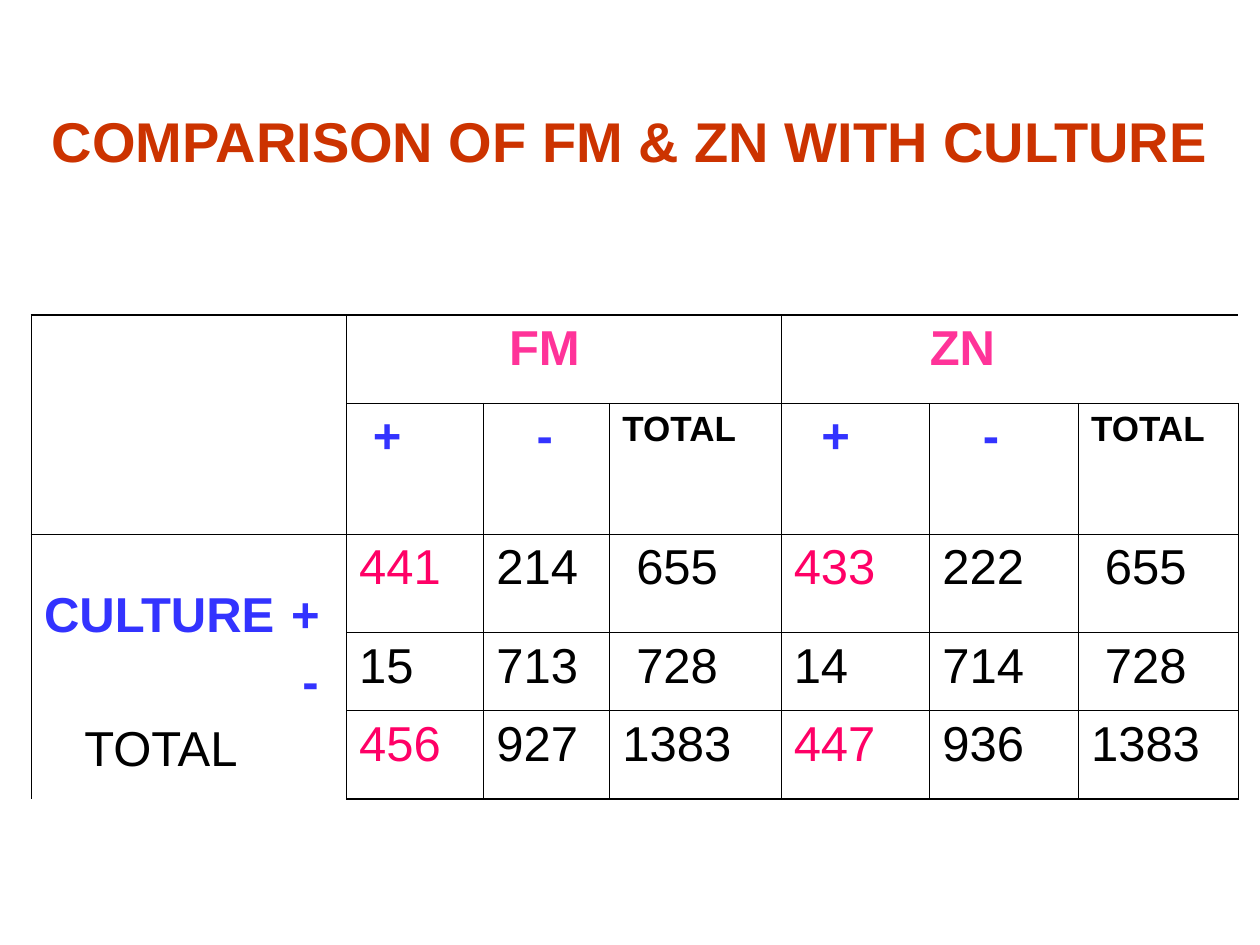
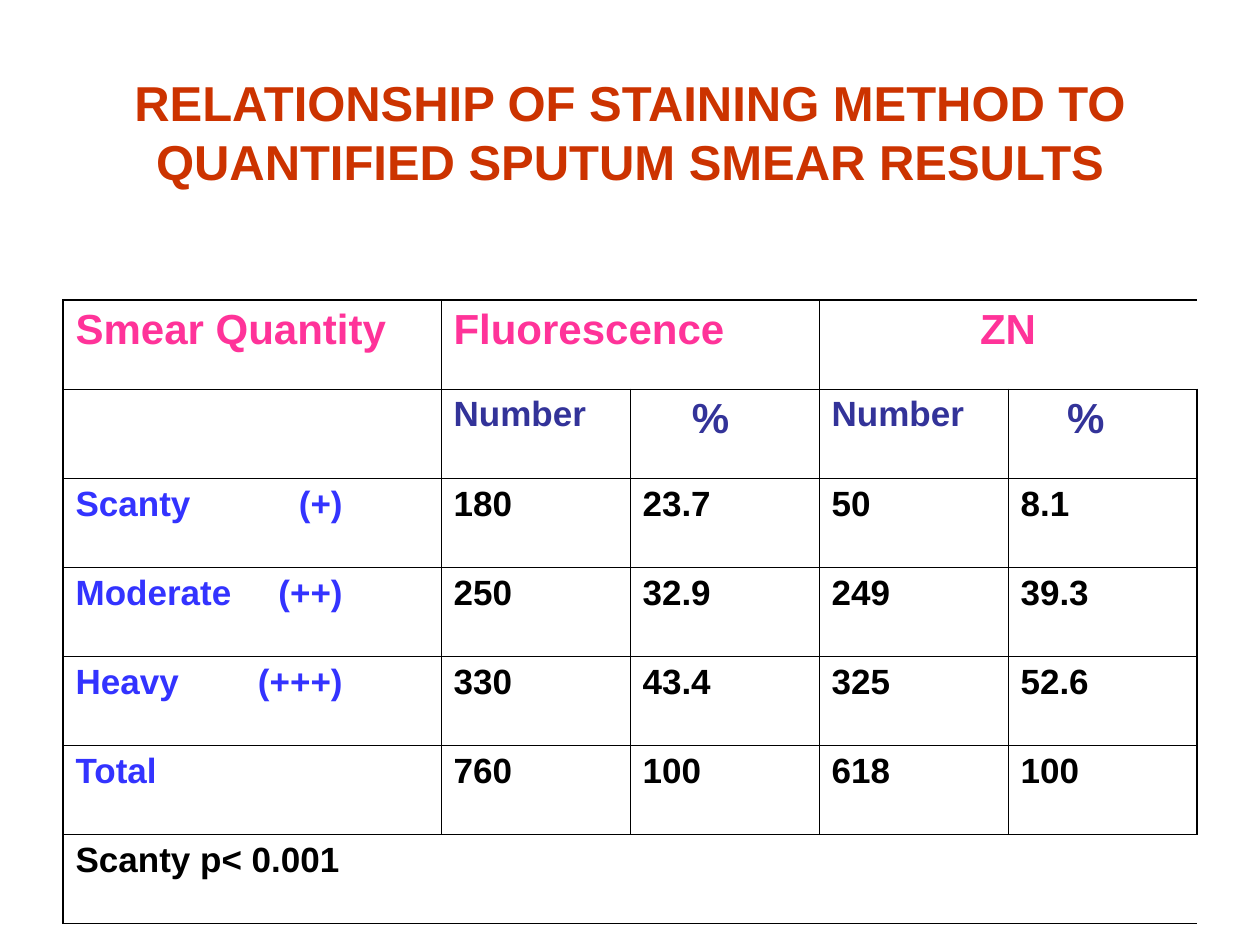
from pptx import Presentation
from pptx.dml.color import RGBColor
from pptx.enum import text
from pptx.oxml.xmlchemy import OxmlElement
from pptx.util import Inches, Pt

FONT, TITLE_COLOR, LINE_COLOR = "Arial", "CC3300", "000000"
OUTER, INNER = 1.08, 0.45  # border widths in points
LINE_GAP = 7  # points between the lines of one cell

# Text styles: size, colour, bold
STYLES = {
    "method": (28, "FF3399", True),
    "sign": (28, "3333FF", True),
    "total": (20, "000000", True),
    "count": (28, "000000", False),
    "key": (28, "FF0066", False),
    "head": (24, "FF3399", True),
    "number": (20, "333399", True),
    "percent": (24, "333399", True),
    "grade": (20, "3333FF", True),
    "value": (20, "000000", True),
}


# A cell is a list of lines; a line is (text, style, indent in inches)
def cell(words, style, indent=0.0):
    return [(words, style, indent)]


def result_row(*numbers, key):
    """FM and ZN counts; the first count of each method may be highlighted."""
    return [cell(n, "key" if key and i % 3 == 0 else "count",
                 0.11 if len(n) == 3 and i % 3 == 2 else 0)
            for i, n in enumerate(numbers)]


def grade_row(label, *values):
    return [cell(label, "grade")] + [cell(v, "value") for v in values]


CULTURE_LABELS = [("CULTURE\t+", "sign", 0), ("-", "sign", 2.05),
                  ("TOTAL", "count", 0.32)]

SLIDES = [
    dict(
        title="COMPARISON OF FM & ZN WITH CULTURE",
        title_box=(0, 0.3, 10, 1.62), title_size=32,
        at=(0.25, 2.5),
        cols=[2.5, 1.09, 1, 1.36, 1.18, 1.18, 1.27],
        rows=[0.7, 1.04, 0.78, 0.62, 0.7],
        merges=[(0, 0, 2, 1), (0, 1, 1, 3), (0, 4, 1, 3), (2, 0, 3, 1)],
        tab=(1.96, "l"),
        tops={(2, 0): 0.43},
        cells=[
            [[], cell("FM", "method", 1.19), [], [], cell("ZN", "method", 1.08), [], []],
            [[], cell("+", "sign", 0.11), cell("-", "sign", 0.32), cell("TOTAL", "total"),
             cell("+", "sign", 0.22), cell("-", "sign", 0.32), cell("TOTAL", "total")],
            [CULTURE_LABELS] + result_row("441", "214", "655", "433", "222", "655", key=True),
            [[]] + result_row("15", "713", "728", "14", "714", "728", key=False),
            [[]] + result_row("456", "927", "1383", "447", "936", "1383", key=True),
        ],
    ),
    dict(
        title="RELATIONSHIP OF STAINING METHOD TO QUANTIFIED SPUTUM SMEAR RESULTS",
        title_box=(0, 0, 10, 2.08), title_size=28,
        at=(0.5, 2.38),
        cols=[3] + [1.5] * 4,
        rows=[4.95 / 7] * 7,
        merges=[(0, 1, 1, 2), (0, 3, 1, 2), (6, 0, 1, 5)],
        tab=(2.12, "r"),
        centred={(0, 3)},
        cells=[
            [cell("Smear Quantity", "head"), cell("Fluorescence", "head"), [],
             cell("ZN", "head"), []],
            [[], cell("Number", "number"), cell("%", "percent", 0.39),
             cell("Number", "number"), cell("%", "percent", 0.37)],
            grade_row("Scanty\t(+)", "180", "23.7", "50", "8.1"),
            grade_row("Moderate\t(++)", "250", "32.9", "249", "39.3"),
            grade_row("Heavy\t(+++)", "330", "43.4", "325", "52.6"),
            grade_row("Total", "760", "100", "618", "100"),
            [cell("Scanty p< 0.001", "value"), [], [], [], []],
        ],
    ),
]


def rgb(color):
    return RGBColor.from_string(color)


def add_run(p, words, size, color, bold):
    r = p.add_run()
    r.text = words
    r.font.name, r.font.size, r.font.bold = FONT, Pt(size), bold
    r.font.color.rgb = rgb(color)


def child(parent, tag, **attrs):
    el = OxmlElement(tag)
    for name, value in attrs.items():
        el.set(name, str(value))
    parent.append(el)
    return el


def add_title(s, spec):
    sp = s.shapes.title
    sp.left, sp.top, sp.width, sp.height = map(Inches, spec["title_box"])
    tf = sp.text_frame
    tf.auto_size = text.MSO_AUTO_SIZE.NONE
    tf.word_wrap = True
    tf.vertical_anchor = text.MSO_ANCHOR.MIDDLE
    p = tf.paragraphs[0]
    p.alignment = text.PP_ALIGN.CENTER
    add_run(p, spec["title"], spec["title_size"], TITLE_COLOR, True)


def write_cell(tc, lines, tab):
    tf = tc.text_frame
    for i, (words, style, indent) in enumerate(lines):
        p = tf.add_paragraph() if i else tf.paragraphs[0]
        p.space_before = Pt(LINE_GAP if i else 0)
        pPr = p._p.get_or_add_pPr()
        pPr.set("marL", str(Inches(indent)))
        if "\t" in words:
            pos, align = tab
            child(child(pPr, "a:tabLst"), "a:tab", pos=Inches(pos), algn=align)
        add_run(p, words, *STYLES[style])


def draw_borders(tbl, n_rows, n_cols):
    """Heavy outer frame, thin inner lines, none inside merged areas."""
    for row in range(n_rows):
        for col in range(n_cols):
            origin = tbl.cell(row, col)
            if origin.is_spanned:
                continue
            bottom = row + origin.span_height if origin.is_merge_origin else row + 1
            right = col + origin.span_width if origin.is_merge_origin else col + 1
            for i in range(row, bottom):
                for j in range(col, right):
                    tc = tbl.cell(i, j)
                    tcPr = tc._tc.get_or_add_tcPr()
                    edges = [("a:lnL", j == col, j == 0),
                             ("a:lnR", j + 1 == right, j + 1 == n_cols),
                             ("a:lnT", i == row, i == 0),
                             ("a:lnB", i + 1 == bottom, i + 1 == n_rows)]
                    for tag, on_edge, outer in edges:
                        ln = child(tcPr, tag, w=Pt(OUTER if outer else INNER))
                        if on_edge:
                            child(child(ln, "a:solidFill"), "a:srgbClr", val=LINE_COLOR)
                        else:
                            child(ln, "a:noFill")
                    tc.fill.background()


def add_table(s, spec):
    cols, rows = spec["cols"], spec["rows"]
    size = sum(cols), sum(rows)
    tbl = s.shapes.add_table(len(rows), len(cols),
                             *map(Inches, spec["at"] + size)).table
    tbl.first_row = tbl.horz_banding = False
    for column, width in zip(tbl.columns, cols):
        column.width = Inches(width)
    for row, height in zip(tbl.rows, rows):
        row.height = Inches(height)
    for row, col, high, wide in spec["merges"]:
        tbl.cell(row, col).merge(tbl.cell(row + high - 1, col + wide - 1))
    for i, row in enumerate(spec["cells"]):
        for j, lines in enumerate(row):
            write_cell(tbl.cell(i, j), lines, spec["tab"])
    for place, top in spec.get("tops", {}).items():
        tbl.cell(*place).margin_top = Inches(top)
    for place in spec.get("centred", ()):
        tbl.cell(*place).text_frame.paragraphs[0].alignment = text.PP_ALIGN.CENTER
    draw_borders(tbl, len(rows), len(cols))


def main():
    prs = Presentation()
    prs.slide_width, prs.slide_height = Inches(10), Inches(7.5)
    for spec in SLIDES:
        s = prs.slides.add_slide(prs.slide_layouts[5])
        add_title(s, spec)
        add_table(s, spec)
    prs.save("out.pptx")


if __name__ == "__main__":
    main()
